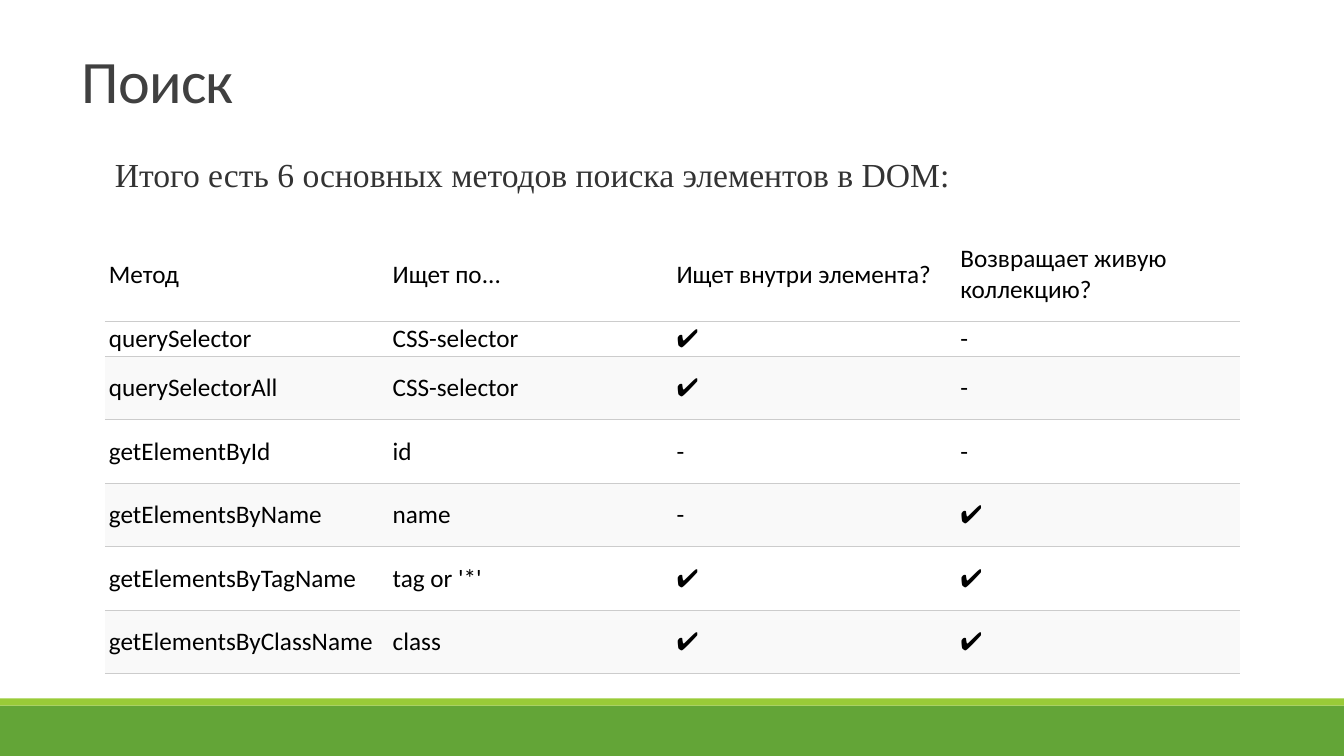
from dataclasses import dataclass

from lxml.etree import SubElement
from pptx import Presentation
from pptx.dml.color import RGBColor
from pptx.enum.shapes import MSO_SHAPE as Shape
from pptx.enum.text import MSO_ANCHOR as Anchor, PP_ALIGN as Align
from pptx.oxml.ns import qn
from pptx.util import Inches, Pt

TITLE = "Поиск"
LEAD = "Итого есть 6 основных методов поиска элементов в DOM:"
METHODS = [
    ("Метод", "Ищет по...", "Ищет внутри элемента?", "Возвращает живую коллекцию?"),
    ("querySelector", "CSS-selector", "✔", "-"),
    ("querySelectorAll", "CSS-selector", "✔", "-"),
    ("getElementById", "id", "-", "-"),
    ("getElementsByName", "name", "-", "✔"),
    ("getElementsByTagName", "tag or '*'", "✔", "✔"),
    ("getElementsByClassName", "class", "✔", "✔"),
]


@dataclass(frozen=True)
class Theme:
    body_font: str = "Calibri"
    lead_font: str = "Times New Roman"
    title_size: int = 43
    lead_size: int = 24
    cell_size: int = 18
    title: str = "404040"
    lead: str = "333333"
    cell: str = "000000"
    rule: str = "CCCCCC"
    plain: str = "FFFFFF"
    band: str = "F9F9F9"
    footer: str = "63A537"
    stripe: str = "99CB38"


T = Theme()
WIDTH, HEIGHT = 13.33, 7.5
FOOTER_TOP, STRIPE_HEIGHT = 7, 0.07
TABLE_LEFT, TABLE_TOP, COLUMN = 1.04, 2.26, 2.815
HEADER_ROW, FIRST_ROW, ROW = 0.93, 0.33, 0.63
RULE_WIDTH = 0.6


def box(left, top, width, height):
    return [Inches(v) for v in (left, top, width, height)]


def add_run(p, text, font, size, color):
    r = p.add_run()
    r.text = text
    r.font.name = font
    r.font.size = Pt(size)
    r.font.color.rgb = RGBColor.from_string(color)
    return r


def add_bar(s, top, height, color):
    bar = s.shapes.add_shape(Shape.RECTANGLE, *box(0, top, WIDTH, height))
    bar.shadow.inherit = False
    bar.fill.solid()
    bar.fill.fore_color.rgb = RGBColor.from_string(color)
    bar.line.fill.background()


def set_borders(cell, is_header):
    tc_pr = cell._tc.get_or_add_tcPr()
    rules = {"a:lnL": None, "a:lnR": None, "a:lnT": None if is_header else T.rule, "a:lnB": T.rule}
    for i, (tag, color) in enumerate(rules.items()):
        ln = SubElement(tc_pr, qn(tag), w=str(Pt(RULE_WIDTH)))
        if color:
            SubElement(SubElement(ln, qn("a:solidFill")), qn("a:srgbClr"), val=color)
        else:
            SubElement(ln, qn("a:noFill"))
        tc_pr.insert(i, ln)


def add_title(s):
    title = s.shapes.title
    title.left, title.top, title.width, title.height = box(0.71, 0.38, 10.14, 0.82)
    tf = title.text_frame
    tf.vertical_anchor = Anchor.BOTTOM
    p = tf.paragraphs[0]
    p.alignment = Align.LEFT
    p.line_spacing = 0.85
    r = add_run(p, TITLE, T.body_font, T.title_size, T.title)
    r._r.get_or_add_rPr().set("spc", "-50")


def add_lead(s):
    tf = s.shapes.add_textbox(*box(TABLE_LEFT, 1.48, 8.57, 0.5)).text_frame
    tf.word_wrap = False
    add_run(tf.paragraphs[0], LEAD, T.lead_font, T.lead_size, T.lead)


def add_methods(s):
    heights = [HEADER_ROW, FIRST_ROW] + [ROW] * (len(METHODS) - 2)
    columns = len(METHODS[0])
    frame = box(TABLE_LEFT, TABLE_TOP, COLUMN * columns, sum(heights))
    table = s.shapes.add_table(len(METHODS), columns, *frame).table
    table.first_row = table.horz_banding = False
    for column in table.columns:
        column.width = Inches(COLUMN)
    for i, (texts, height) in enumerate(zip(METHODS, heights)):
        table.rows[i].height = Inches(height)
        is_band = i > 0 and i % 2 == 0
        for j, text in enumerate(texts):
            cell = table.cell(i, j)
            cell.vertical_anchor = Anchor.MIDDLE
            cell.margin_left, cell.margin_right = Inches(0.04), Inches(0.1)
            cell.margin_top = cell.margin_bottom = Inches(0.02)
            cell.fill.solid()
            cell.fill.fore_color.rgb = RGBColor.from_string(T.band if is_band else T.plain)
            set_borders(cell, i == 0)
            add_run(cell.text_frame.paragraphs[0], text, T.body_font, T.cell_size, T.cell)


def main():
    prs = Presentation()
    prs.slide_width, prs.slide_height = Inches(WIDTH), Inches(HEIGHT)
    s = prs.slides.add_slide(prs.slide_layouts[5])
    add_bar(s, FOOTER_TOP, HEIGHT - FOOTER_TOP, T.footer)
    add_bar(s, FOOTER_TOP - STRIPE_HEIGHT, STRIPE_HEIGHT, T.stripe)
    add_title(s)
    add_methods(s)
    add_lead(s)
    prs.save("out.pptx")


if __name__ == "__main__":
    main()
